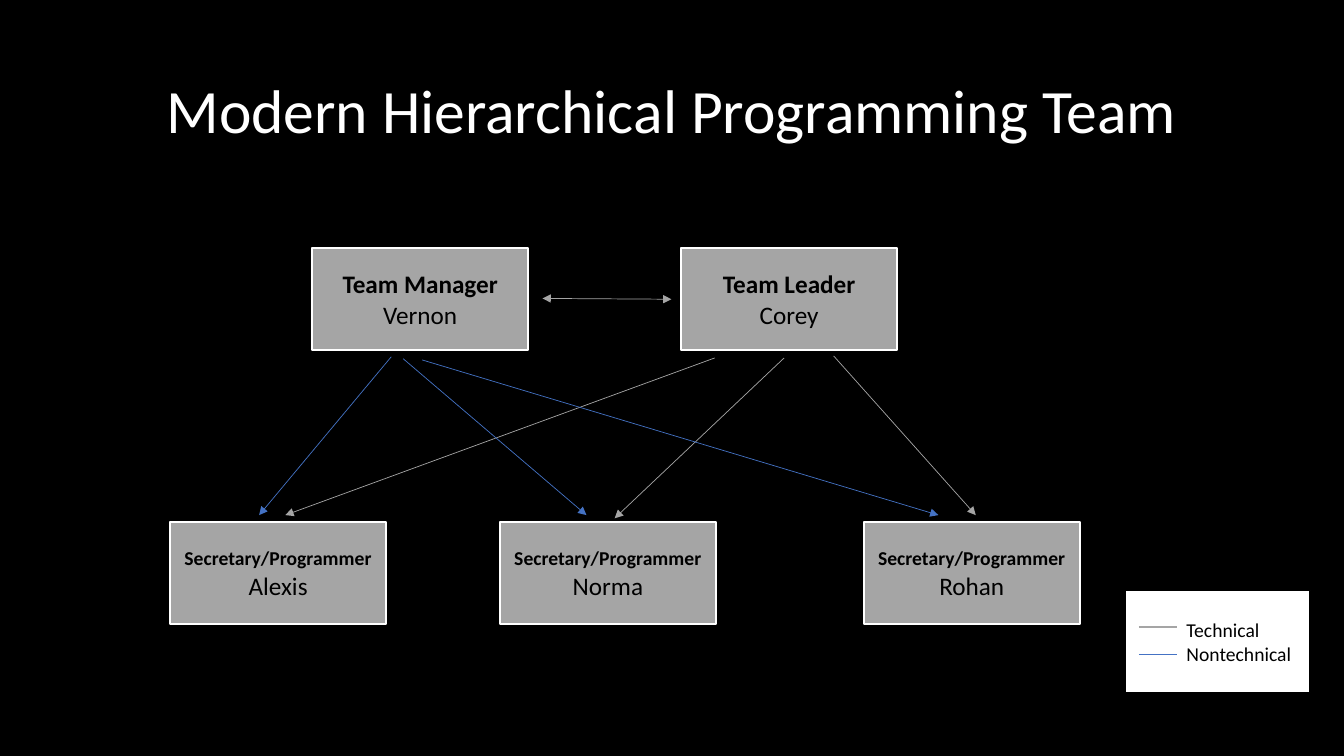
from lxml import etree
from pptx import Presentation
from pptx import util as u
from pptx.dml.color import RGBColor
from pptx.enum import shapes, text
from pptx.oxml.ns import qn

THEME = {
    "font": "Calibri",
    "back": "000000", "light": "FFFFFF", "ink": "000000",
    "tech": "A5A5A5", "admin": "4472C4",
    "title": 44, "name": 18, "small": 14,
    "edge": 1.5, "thin": 0.5,
}

TITLE = "Modern Hierarchical Programming Team"
BOX = (5.44, 2.57)
ROWS = [
    (6.25, "name", [(7.87, "Team Manager", "Vernon"),
                    (17.17, "Team Leader", "Corey")]),
    (13.16, "small", [(4.29, "Secretary/Programmer", "Alexis"),
                      (12.6, "Secretary/Programmer", "Norma"),
                      (21.77, "Secretary/Programmer", "Rohan")]),
]
ARROWS = [
    ("tech", (18.01, 9.02), (7.19, 12.98), ["tailEnd"]),
    ("tech", (19.76, 9.02), (15.49, 13.06), ["tailEnd"]),
    ("tech", (13.67, 7.52), (16.92, 7.54), ["headEnd", "tailEnd"]),
    ("tech", (21.01, 8.97), (24.59, 12.98), ["tailEnd"]),
    ("admin", (10.64, 9.07), (23.65, 12.98), ["tailEnd"]),
    ("admin", (9.86, 8.99), (6.53, 12.98), ["tailEnd"]),
    ("admin", (10.16, 9.04), (14.78, 12.98), ["tailEnd"]),
]
LEGEND = (28.35, 14.88, 4.67, 2.57)
KEYS = [("Technical", "tech", "edge", 15.8),
        ("Nontechnical", "admin", "thin", 16.48)]
KEY_X = (28.7, 29.67)
KEY_INDENT = 1.55


def color(key):
    return RGBColor.from_string(THEME[key])


def write(shape, lines, align=text.PP_ALIGN.CENTER):
    frame = shape.text_frame
    frame.word_wrap = True
    frame.vertical_anchor = text.MSO_ANCHOR.MIDDLE
    frame.text = "\n".join(line[0] for line in lines)
    for para, (_, size, bold, ink) in zip(frame.paragraphs, lines):
        para.alignment = align
        font = para.runs[0].font
        font.name = THEME["font"]
        font.size = u.Pt(THEME[size])
        font.bold = bold
        font.color.rgb = color(ink)
    return frame


def add_box(slide, area, fill, edge, width):
    box = slide.shapes.add_shape(shapes.MSO_SHAPE.RECTANGLE, *map(u.Cm, area))
    box.shadow.inherit = False
    box.fill.solid()
    box.fill.fore_color.rgb = color(fill)
    box.line.color.rgb = color(edge)
    box.line.width = u.Pt(width)
    return box


def add_line(slide, start, end, tint, width, heads=()):
    line = slide.shapes.add_connector(
        shapes.MSO_CONNECTOR.STRAIGHT, *map(u.Cm, start + end))
    line.line.color.rgb = color(tint)
    line.line.width = u.Pt(THEME[width])
    stroke = line.line._get_or_add_ln()
    for head in heads:
        etree.SubElement(stroke, qn("a:" + head), type="triangle")
    etree.SubElement(line._element.spPr, qn("a:effectLst"))


def main():
    deck = Presentation()
    deck.slide_width, deck.slide_height = u.Cm(33.87), u.Cm(19.05)
    slide = deck.slides.add_slide(deck.slide_layouts[6])
    slide.background.fill.solid()
    slide.background.fill.fore_color.rgb = color("back")

    title = slide.shapes.add_textbox(*map(u.Cm, (2.33, 1.01, 29.21, 3.68)))
    frame = write(title, [(TITLE, "title", False, "light")])
    frame.paragraphs[0].line_spacing = 0.9

    for top, size, team in ROWS:
        for left, role, name in team:
            box = add_box(slide, (left, top) + BOX, "tech", "light", THEME["edge"])
            write(box, [(role, size, True, "ink"), (name, "name", False, "ink")])

    for tint, start, end, heads in ARROWS:
        add_line(slide, start, end, tint, "thin", heads)

    legend = add_box(slide, LEGEND, "light", "ink", 1)
    frame = write(legend, [(key[0], "small", False, "ink") for key in KEYS],
                  text.PP_ALIGN.LEFT)
    frame.margin_left = u.Cm(KEY_INDENT)
    frame.margin_right = 0
    for _, tint, width, y in KEYS:
        add_line(slide, (KEY_X[0], y), (KEY_X[1], y), tint, width)

    deck.save("out.pptx")


if __name__ == "__main__":
    main()
